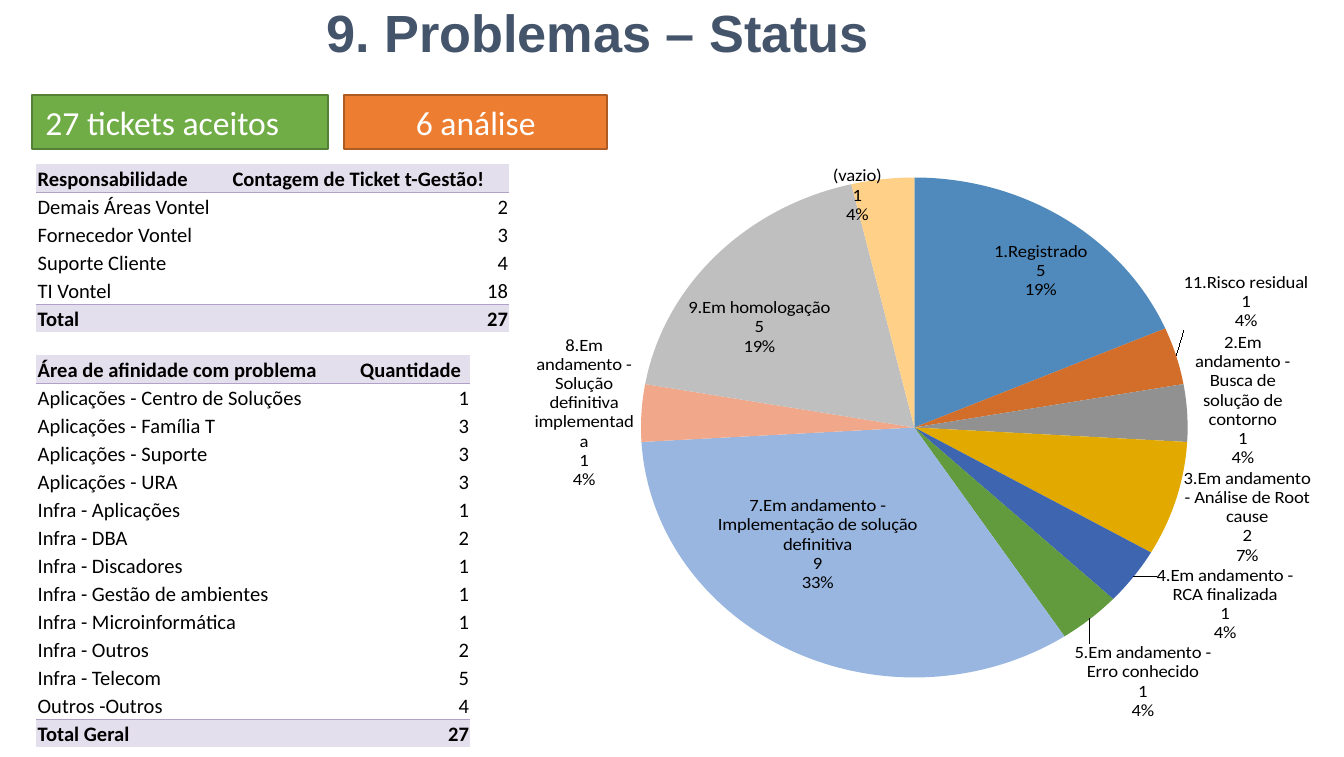
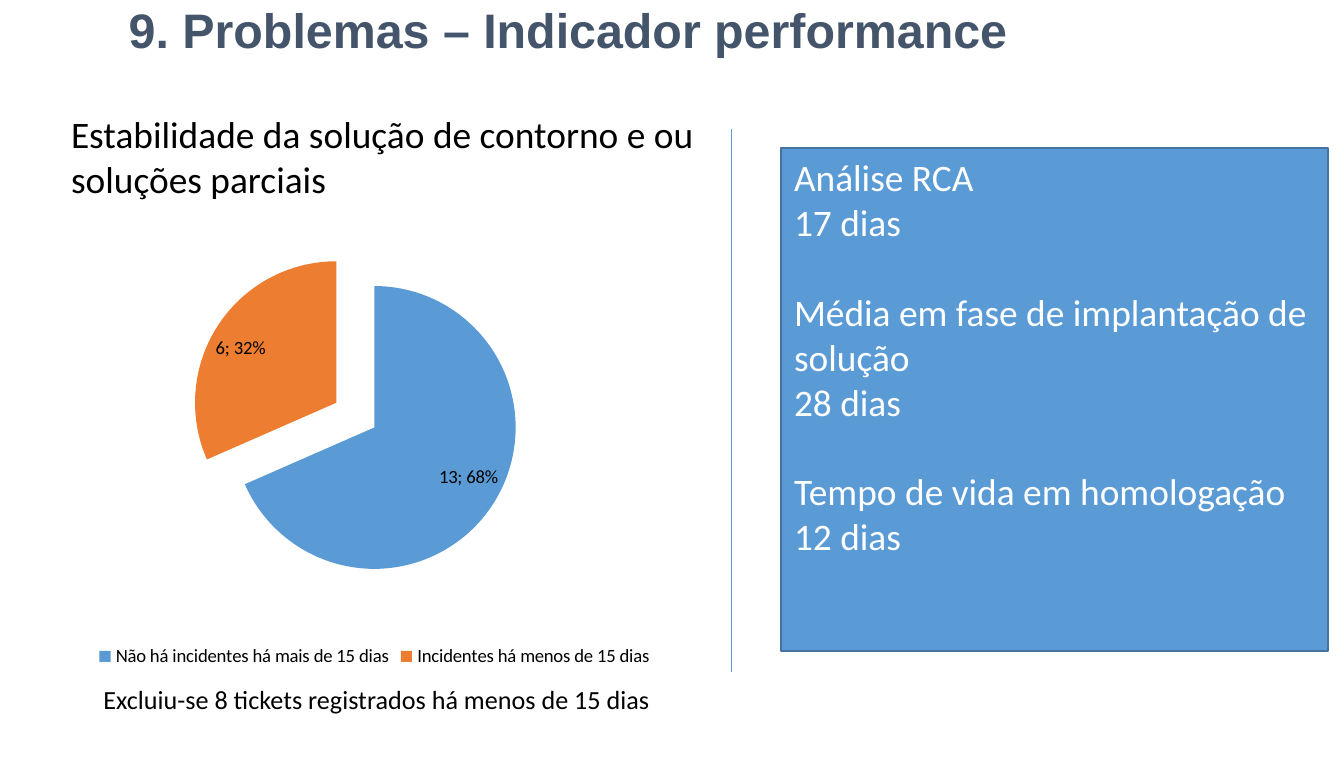
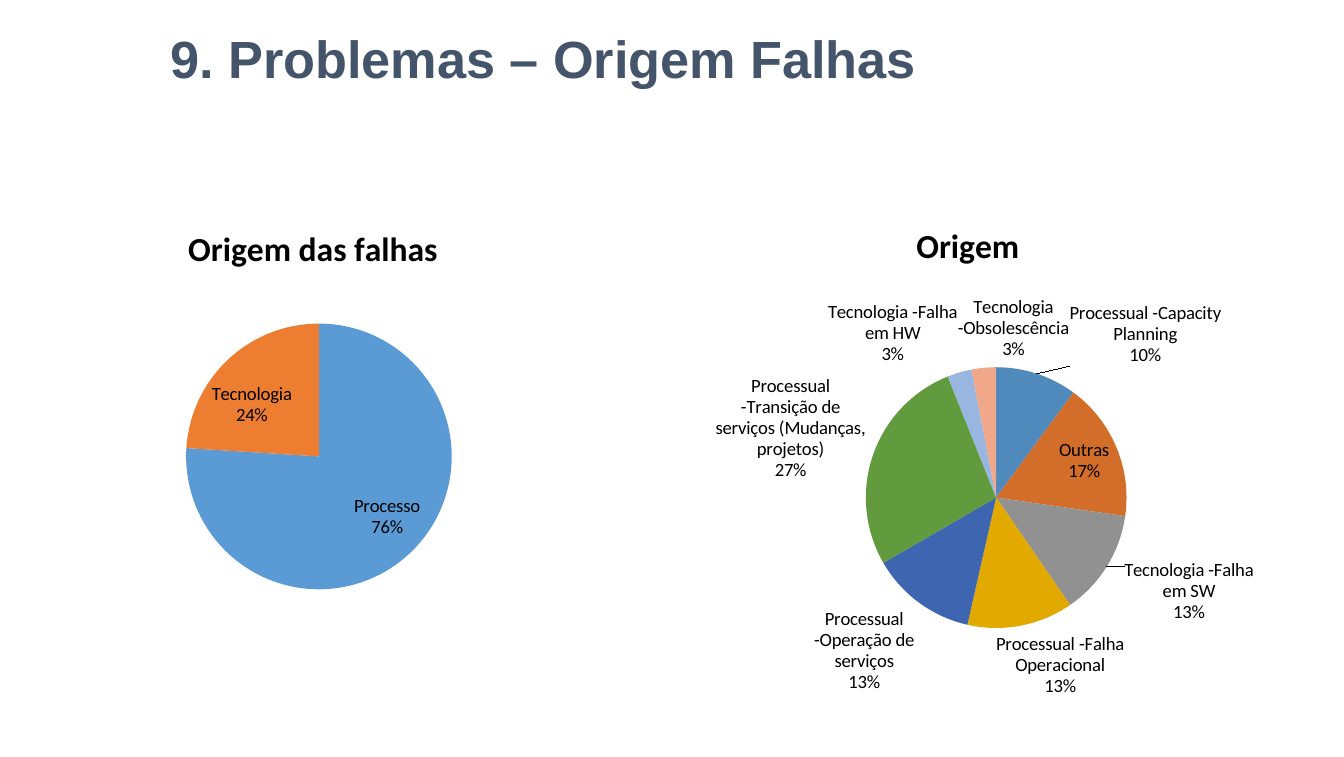
import pptx
import pptx.util
import pptx.chart.data
import pptx.dml.color
import pptx.enum.chart
import pptx.enum.shapes
import pptx.enum.text
import pptx.oxml
import pptx.oxml.ns
from lxml import etree

Inches = pptx.util.Inches
Pt = pptx.util.Pt
RGBColor = pptx.dml.color.RGBColor
ANCHOR = pptx.enum.text.MSO_ANCHOR
ALIGN = pptx.enum.text.PP_ALIGN
qn = pptx.oxml.ns.qn

# Shared look
SLATE = RGBColor(0x44, 0x54, 0x6A)
BLACK = RGBColor(0, 0, 0)
WHITE = RGBColor(255, 255, 255)
BLUE = RGBColor(0x5B, 0x9B, 0xD5)
NAVY = RGBColor(0x43, 0x73, 0x9E)
ORANGE = RGBColor(0xED, 0x7D, 0x31)
RUST = RGBColor(0xAF, 0x5C, 0x24)
GREEN = RGBColor(0x70, 0xAD, 0x47)
MOSS = RGBColor(0x53, 0x80, 0x35)
LILAC = RGBColor(0xE4, 0xDF, 0xEC)
VIOLET = RGBColor(0xB1, 0xA0, 0xC7)
DUO = [BLUE, ORANGE]
SHADES = [RGBColor.from_string(code) for code in (
    "508ABC", "D26E2A", "919191", "E2AA00", "3E65AF",
    "629A3E", "98B6DF", "F1A78A", "BFBFBF", "FFD088")]
HEAD, BODY = "Arial", "Calibri"
PLAIN = "{2D5ABB26-0587-4C30-8999-92F81FD0307C}"  # table style without grid

# Slide data
OWNERS = [
    ("Responsabilidade", "Contagem de Ticket t-Gestão!"),
    ("Demais Áreas Vontel", 2), ("Fornecedor Vontel", 3),
    ("Suporte Cliente", 4), ("TI Vontel", 18), ("Total", 27)]
AREAS = [
    ("Área de afinidade com problema", "Quantidade"),
    ("Aplicações - Centro de Soluções", 1), ("Aplicações - Família T", 3),
    ("Aplicações - Suporte", 3), ("Aplicações - URA", 3),
    ("Infra - Aplicações", 1), ("Infra - DBA", 2),
    ("Infra - Discadores", 1), ("Infra - Gestão de ambientes", 1),
    ("Infra - Microinformática", 1), ("Infra - Outros", 2),
    ("Infra - Telecom", 5), ("Outros -Outros", 4), ("Total Geral", 27)]
STATUS = {
    "1.Registrado": 5, "11.Risco residual": 1,
    "2.Em andamento - Busca de solução de contorno": 1,
    "3.Em andamento - Análise de Root cause": 2,
    "4.Em andamento - RCA finalizada": 1,
    "5.Em andamento - Erro conhecido": 1,
    "7.Em andamento - Implementação de solução definitiva": 9,
    "8.Em andamento - Solução definitiva implementada": 1,
    "9.Em homologação": 5, "(vazio)": 1}
STABLE = {"Não há incidentes há mais de 15 dias": 13,
          "Incidentes há menos de 15 dias": 6}
FAULTS = {"Processo": 76, "Tecnologia": 24}
CAUSES = {
    "Processual -Capacity Planning": 10, "Outras": 17,
    "Tecnologia -Falha em SW": 13, "Processual -Falha Operacional": 13,
    "Processual -Operação de serviços": 13,
    "Processual -Transição de serviços (Mudanças, projetos)": 27,
    "Tecnologia -Falha em HW": 3, "Tecnologia -Obsolescência": 3}
TIMES = [("Análise RCA", "17 dias"),
         ("Média em fase de implantação de solução", "28 dias"),
         ("Tempo de vida em homologação", "12 dias")]


def place(box):
    return [Inches(size) for size in box]


def style(font, size, color, bold=False, name=BODY):
    font.name, font.size, font.bold = name, Pt(size), bold
    font.color.rgb = color


def write(frame, lines, size, color, align=ALIGN.LEFT, anchor=ANCHOR.TOP,
          bold=False, name=BODY):
    frame.word_wrap = True
    frame.vertical_anchor = anchor
    for i, line in enumerate(lines):
        para = frame.add_paragraph() if i else frame.paragraphs[0]
        para.text, para.alignment = line, align
        style(para.font, size, color, bold, name)


def add_text(slide, box, text, size, color=BLACK, **look):
    frame = slide.shapes.add_textbox(*place(box)).text_frame
    write(frame, [text], size, color, **look)


def add_title(slide, left, top, text, size=28, align=ALIGN.LEFT):
    add_text(slide, (left, top, 6.84, 0.61), text, size, SLATE,
             align=align, anchor=ANCHOR.MIDDLE, bold=True, name=HEAD)


def add_panel(slide, box, lines, size, fill, edge, **look):
    kind = pptx.enum.shapes.MSO_SHAPE.RECTANGLE
    panel = slide.shapes.add_shape(kind, *place(box))
    panel.shadow.inherit = False
    panel.fill.solid()
    panel.fill.fore_color.rgb = fill
    panel.line.color.rgb = edge
    panel.line.width = Pt(1)
    write(panel.text_frame, lines, size, WHITE, **look)
    return panel.text_frame


def add_rule(slide, x, top, end):
    kind = pptx.enum.shapes.MSO_CONNECTOR.STRAIGHT
    rule = slide.shapes.add_connector(kind, *place((x, top, x, end)))
    rule.line.color.rgb = BLUE
    rule.line.width = Pt(0.5)
    etree.SubElement(rule._element.spPr, qn("a:effectLst"))


def add_edge(cell, side):
    props = cell._tc.get_or_add_tcPr()
    props.insert(0, pptx.oxml.parse_xml(
        f'<a:{side} xmlns:a="{pptx.oxml.ns.nsuri("a")}" w="6350">'
        f'<a:solidFill><a:srgbClr val="{VIOLET}"/></a:solidFill></a:{side}>'))


def add_grid(slide, box, widths, rows):
    grid = slide.shapes.add_table(len(rows), 2, *place(box)).table
    grid.first_row = grid.horz_banding = False
    grid._tbl.tblPr.find(qn("a:tableStyleId")).text = PLAIN
    for col, width in zip(grid.columns, widths):
        col.width = Inches(width)
    last = len(rows) - 1
    for r, row in enumerate(rows):
        grid.rows[r].height = Inches(box[3] / len(rows))
        for c, value in enumerate(row):
            cell = grid.cell(r, c)
            cell.margin_left = cell.margin_right = Inches(0.01)
            cell.margin_top, cell.margin_bottom = Inches(0.01), 0
            cell.vertical_anchor = ANCHOR.BOTTOM
            para = cell.text_frame.paragraphs[0]
            para.text = str(value)
            para.alignment = ALIGN.RIGHT if c and r else ALIGN.LEFT
            style(para.font, 11, BLACK, r in (0, last))
            if r in (0, last):
                cell.fill.solid()
                cell.fill.fore_color.rgb = LILAC
                add_edge(cell, "lnT" if r else "lnB")
            else:
                cell.fill.background()


def set_layout(holder, before, **parts):
    """Fix the place of a chart part, as shares of the chart's size."""
    for old in holder.findall(qn("c:layout")):
        holder.remove(old)
    layout = etree.Element(qn("c:layout"))
    manual = etree.SubElement(layout, qn("c:manualLayout"))
    if "w" in parts:
        etree.SubElement(manual, qn("c:layoutTarget")).set("val", "inner")
    for key in ("xMode", "yMode"):
        etree.SubElement(manual, qn("c:" + key)).set("val", "edge")
    for key, share in parts.items():
        etree.SubElement(manual, qn("c:" + key)).set("val", str(share))
    holder.find(qn(before)).addprevious(layout)


def add_pie(slide, box, data, colors, plot, value=False, names=True, gap="\n"):
    source = pptx.chart.data.CategoryChartData()
    source.categories = list(data)
    source.add_series("Series 1", list(data.values()))
    kind = pptx.enum.chart.XL_CHART_TYPE.PIE
    chart = slide.shapes.add_chart(kind, *place(box), source).chart
    style(chart.font, 10, BLACK)
    chart.has_title = chart.has_legend = False
    chart.plots[0].vary_by_categories = True
    series = chart.plots[0].series[0]
    for i, color in zip(range(len(data)), colors):
        look = series.points[i].format
        look.fill.solid()
        look.fill.fore_color.rgb = color
        look.line.fill.background()
    # Labels
    labels = series.data_labels
    labels.show_value, labels.show_category_name = value, names
    labels.show_percentage = True
    labels.position = pptx.enum.chart.XL_LABEL_POSITION.BEST_FIT
    style(labels.font, 10, BLACK)
    mark = etree.Element(qn("c:separator"))
    mark.text = gap
    labels._element.find(qn("c:showBubbleSize")).addnext(mark)
    area = chart._chartSpace.chart.plotArea
    set_layout(area, "c:pieChart", **dict(zip("xywh", plot)))
    return chart


def name_pie(chart, text, x, y):
    chart.has_title = True
    title = chart.chart_title
    para = title.text_frame.paragraphs[0]
    para.text = text
    style(para.font, 18, BLACK, True)
    title.include_in_layout = False
    set_layout(title._element, "c:overlay", x=x, y=y)


def pull_slice(chart, index, share):
    point = chart.plots[0].series[0].points[index]
    shape = point.format.fill._xPr
    pull = etree.Element(qn("c:explosion"))
    pull.set("val", str(share))
    shape.addprevious(pull)


def show_status(slide):
    add_title(slide, 2.33, -0.07, "9. Problemas – Status")
    add_grid(slide, (0.27, 1.22, 3.52, 1.25), (1.45, 2.07), OWNERS)
    add_pie(slide, (3.79, 0.85, 6.15, 4.52), STATUS, SHADES,
            (0.02, 0.02, 0.94, 0.9), value=True)
    add_grid(slide, (0.27, 2.64, 3.23, 2.92), (2.4, 0.83), AREAS)
    add_panel(slide, (0.24, 0.71, 2.2, 0.4), ["27 tickets aceitos"],
              18, GREEN, MOSS)
    add_panel(slide, (2.56, 0.71, 1.96, 0.4), ["6 análise"], 18, ORANGE, RUST,
              align=ALIGN.CENTER, anchor=ANCHOR.MIDDLE)


def show_speed(slide):
    add_title(slide, 0.86, -0.09, "9. Problemas – Indicador performance", 25.9)
    pie = add_pie(slide, (0.14, 1.66, 5.29, 3.34), STABLE, DUO,
                  (0.3, 0.14, 0.4, 0.63), value=True, names=False, gap="; ")
    pull_slice(pie, 1, 32)
    pie.has_legend = True
    pie.legend.position = pptx.enum.chart.XL_LEGEND_POSITION.BOTTOM
    pie.legend.include_in_layout = False
    style(pie.legend.font, 10, BLACK)
    add_text(slide, (0.43, 0.78, 5.31, 0.77),
             "Estabilidade da solução de contorno e ou soluções parciais", 20)
    add_text(slide, (0.67, 5.03, 4.52, 0.34),
             "Excluiu-se 8 tickets registrados há menos de 15 dias", 14)
    add_rule(slide, 5.44, 0.96, 5)
    frame = add_panel(slide, (5.81, 1.1, 4.07, 3.74),
                      [line for pair in TIMES for line in pair],
                      20, BLUE, NAVY)
    for para in frame.paragraphs[2::2]:
        para.space_before = Pt(24)


def show_origin(slide):
    add_title(slide, 0.62, 0.12, "9. Problemas – Origem Falhas",
              align=ALIGN.CENTER)
    pie = add_pie(slide, (-0.36, 1.5, 5.36, 3.24), FAULTS, DUO,
                  (0.32, 0.28, 0.38, 0.61))
    name_pie(pie, "Origem das falhas", 0.32, 0.04)
    pie = add_pie(slide, (4.27, 1.49, 5.82, 3.88), CAUSES, SHADES,
                  (0.37, 0.32, 0.34, 0.5))
    name_pie(pie, "Origem", 0.43, 0.03)


def main():
    deck = pptx.Presentation()
    deck.slide_width, deck.slide_height = Inches(10), Inches(5.63)
    for show in (show_status, show_speed, show_origin):
        show(deck.slides.add_slide(deck.slide_layouts[6]))
    deck.save("out.pptx")


if __name__ == "__main__":
    main()
